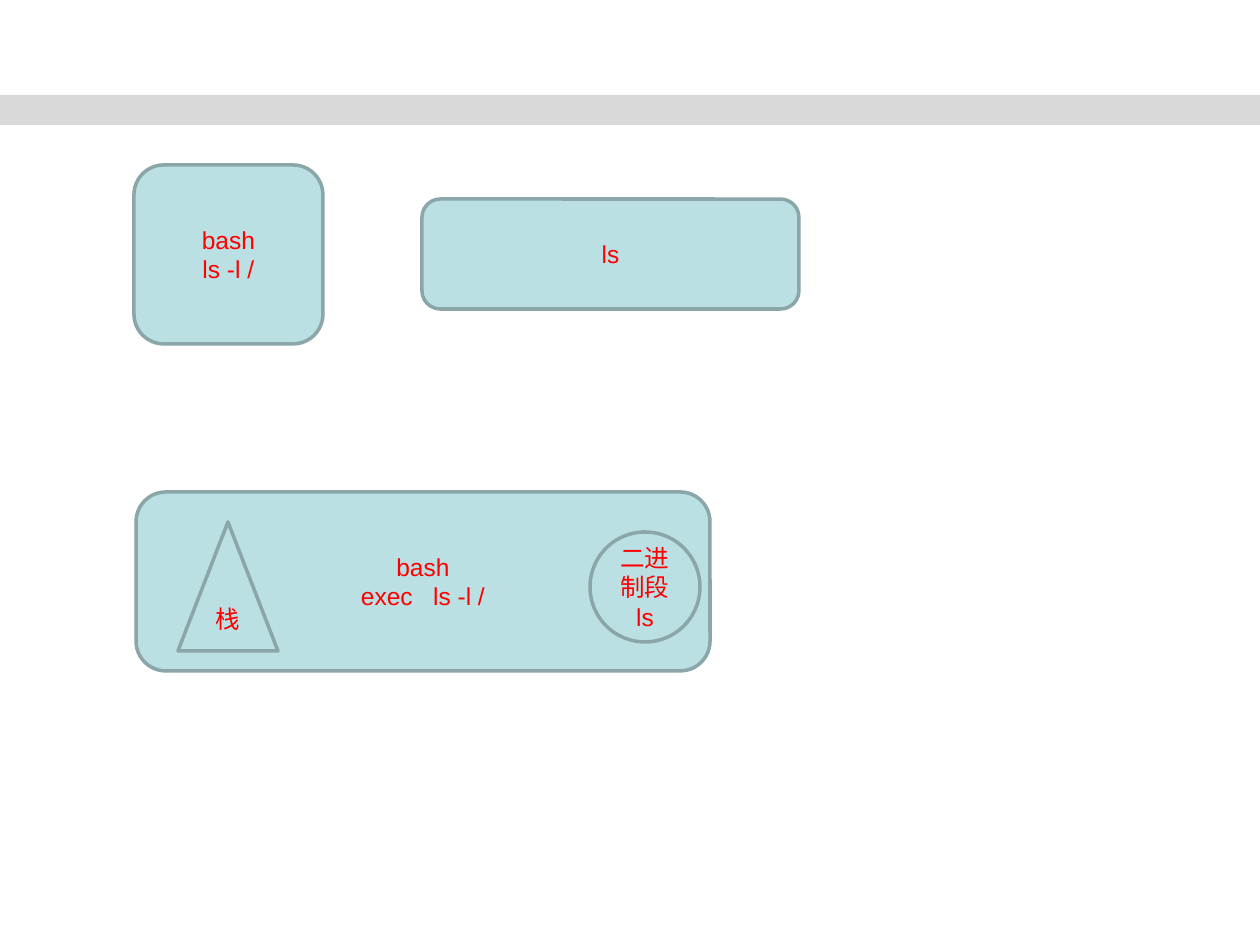
from dataclasses import dataclass

from pptx import Presentation
from pptx.dml.color import RGBColor
from pptx.enum.shapes import MSO_SHAPE
from pptx.enum.text import MSO_ANCHOR, PP_ALIGN
from pptx.util import Pt

EMU_PER_PX = 914400 / 126


@dataclass(frozen=True)
class Theme:
    band: str = "D9D9D9"
    fill: str = "BBE0E3"
    line: str = "8AA6A8"
    text: str = "FF0000"
    font: str = "Arial"
    size: int = 14
    line_width: int = 2


THEME = Theme()


def px(n):
    return round(n * EMU_PER_PX)


def rgb(value):
    return RGBColor.from_string(value)


def write_text(tf, lines, size=THEME.size, color=THEME.text, font=THEME.font,
               align=PP_ALIGN.CENTER, anchor=MSO_ANCHOR.MIDDLE):
    tf.word_wrap = True
    tf.vertical_anchor = anchor
    for i, line in enumerate(lines):
        p = tf.add_paragraph() if i else tf.paragraphs[0]
        p.alignment = align
        r = p.add_run()
        r.text = line
        r.font.size = Pt(size)
        r.font.name = font
        r.font.color.rgb = rgb(color)


def add_filled(s, kind, box, fill):
    sp = s.shapes.add_shape(kind, *map(px, box))
    sp.shadow.inherit = False
    sp.fill.solid()
    sp.fill.fore_color.rgb = rgb(fill)
    return sp


def add_band(s, box):
    add_filled(s, MSO_SHAPE.RECTANGLE, box, THEME.band).line.fill.background()


def add_node(s, kind, box, *lines):
    sp = add_filled(s, kind, box, THEME.fill)
    sp.line.color.rgb = rgb(THEME.line)
    sp.line.width = Pt(THEME.line_width)
    write_text(sp.text_frame, lines)


def main():
    prs = Presentation()
    prs.slide_width, prs.slide_height = px(1260), px(945)
    s = prs.slides.add_slide(prs.slide_layouts[6])

    add_band(s, (0, 95, 1260, 30))
    rounded = MSO_SHAPE.ROUNDED_RECTANGLE
    add_node(s, rounded, (134, 165, 189, 179), "bash", "ls -l /")
    add_node(s, rounded, (422, 199, 377, 110), "ls")
    add_node(s, rounded, (136, 492, 574, 179), "bash", "exec   ls -l /")
    add_node(s, MSO_SHAPE.OVAL, (590, 532, 110, 110), "二进制段", "ls")
    add_node(s, MSO_SHAPE.ISOSCELES_TRIANGLE, (178, 522, 100, 129), "栈")

    prs.save("out.pptx")


main()
